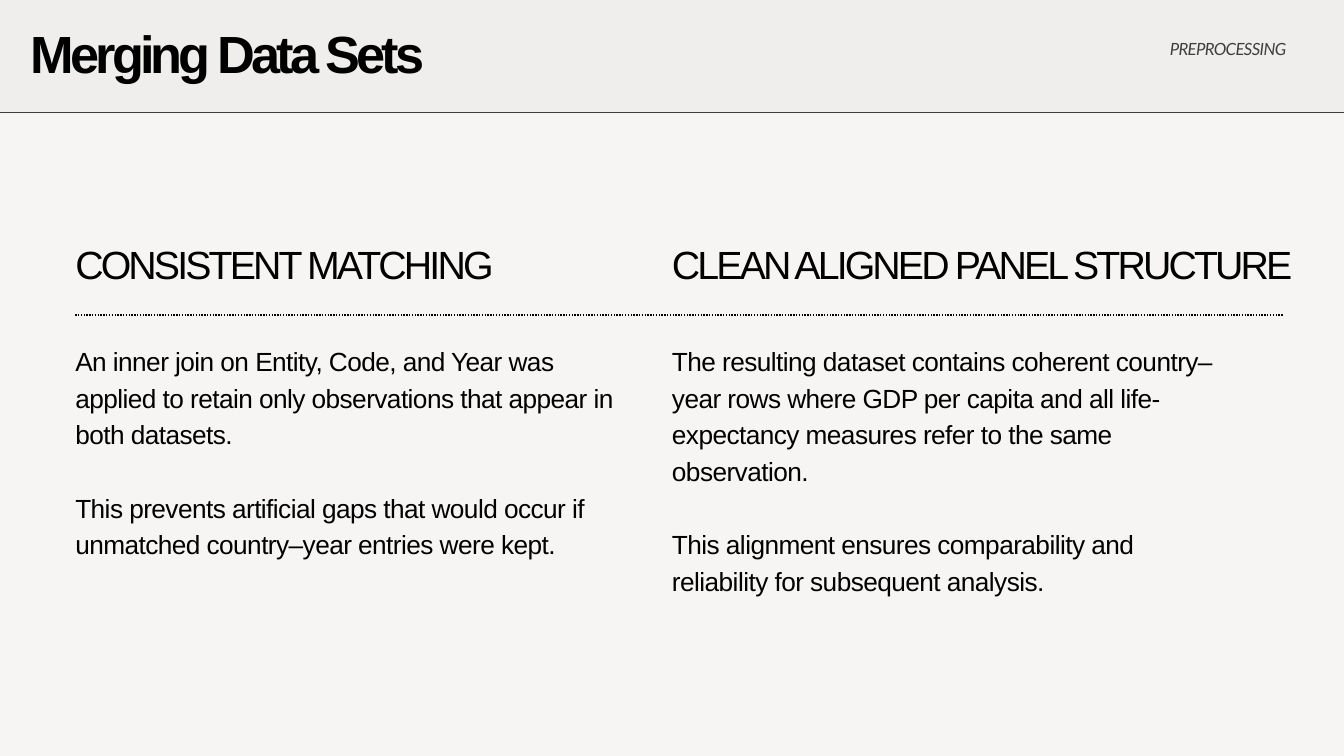
from lxml import etree
from pptx import Presentation, util as u
from pptx.dml.color import RGBColor
from pptx.enum import dml, shapes, text
from pptx.oxml.ns import qn

HUES = {"back": "F6F5F3", "band": "EFEEEC", "grey": "403E3E", "ink": "000000"}

# size, line spacing and letter spacing in points
TITLE = {"size": 56, "lead": 47.6, "track": -4.2, "bold": True}
TAG = {"size": 18, "lead": 25.2, "track": -0.7, "italic": True,
       "name": "Lato", "hue": "grey", "align": text.PP_ALIGN.RIGHT}
HEAD = {"size": 42.1, "lead": 58.9, "track": -3.1}
BODY = {"size": 28.1, "lead": 39.3, "track": -0.6}


class Deck:
    def __init__(self, wide, high):
        self.prs = Presentation()
        self.prs.slide_width = u.Inches(wide)
        self.prs.slide_height = u.Inches(high)
        self.slide = self.prs.slides.add_slide(self.prs.slide_layouts[6])
        fill = self.slide.background.fill
        fill.solid()
        fill.fore_color.rgb = self.hue("back")

    def hue(self, name):
        return RGBColor.from_string(HUES[name])

    def band(self, x, y, w, h):
        box = self.slide.shapes.add_shape(
            shapes.MSO_SHAPE.RECTANGLE, *map(u.Inches, (x, y, w, h)))
        box.shadow.inherit = False
        box.fill.solid()
        box.fill.fore_color.rgb = self.hue("band")
        box.line.color.rgb = self.hue("grey")
        box.line.width = u.Pt(0.75)

    def rule(self, left, right, y):
        line = self.slide.shapes.add_connector(
            shapes.MSO_CONNECTOR.STRAIGHT, *map(u.Inches, (left, y, right, y)))
        line.line.color.rgb = self.hue("ink")
        line.line.width = u.Pt(1.5)
        line.line.dash_style = dml.MSO_LINE.ROUND_DOT
        etree.SubElement(line._element.spPr, qn("a:effectLst"))

    def label(self, x, y, w, h, look, *paras):
        box = self.slide.shapes.add_textbox(*map(u.Inches, (x, y, w, h)))
        frame = box.text_frame
        frame.word_wrap = True
        for side in ("left", "top", "right", "bottom"):
            setattr(frame, f"margin_{side}", 0)
        for i, words in enumerate(paras):
            para = frame.add_paragraph() if i else frame.paragraphs[0]
            para.alignment = look.get("align", text.PP_ALIGN.LEFT)
            para.line_spacing = u.Pt(look["lead"])
            if i:
                para.space_before = u.Pt(look["lead"])
            run = para.add_run()
            run.text = words
            form = {"name": look.get("name", "Arial"),
                    "size": u.Pt(look["size"]),
                    "bold": look.get("bold", False),
                    "italic": look.get("italic", False)}
            for key, value in form.items():
                setattr(run.font, key, value)
            run.font.color.rgb = self.hue(look.get("hue", "ink"))
            run._r.get_or_add_rPr().set("spc", str(round(look["track"] * 100)))


def main():
    deck = Deck(20, 11.25)

    # Header band, bleeding past the slide edges
    deck.band(-0.8, -2.75, 22.77, 4.42)
    deck.label(17.2, 0.52, 1.94, 0.34, TAG, "PREPROCESSING")
    deck.label(0.46, 0.59, 14.3, 0.73, TITLE, "Merging Data Sets")

    # Two columns: left, heading width, body width, heading, paragraphs
    columns = [
        (1.12, 6.95, 8.28, "CONSISTENT MATCHING", (
            "An inner join on Entity, Code, and Year was applied to retain "
            "only observations that appear in both datasets.",
            "This prevents artificial gaps that would occur if unmatched "
            "country–year entries were kept.")),
        (10, 9.44, 8.17, "CLEAN ALIGNED PANEL STRUCTURE", (
            "The resulting dataset contains coherent country–year rows where "
            "GDP per capita and all life-expectancy measures refer to the "
            "same observation.",
            "This alignment ensures comparability and reliability for "
            "subsequent analysis.")),
    ]
    for x, top, wide, head, paras in columns:
        deck.label(x, 3.46, top, 0.79, HEAD, head)
        deck.label(x, 5.06, wide, 3.79, BODY, *paras)

    # Dotted rule below the headings
    deck.rule(1.12, 19.09, 4.69)

    deck.prs.save("out.pptx")


if __name__ == "__main__":
    main()
